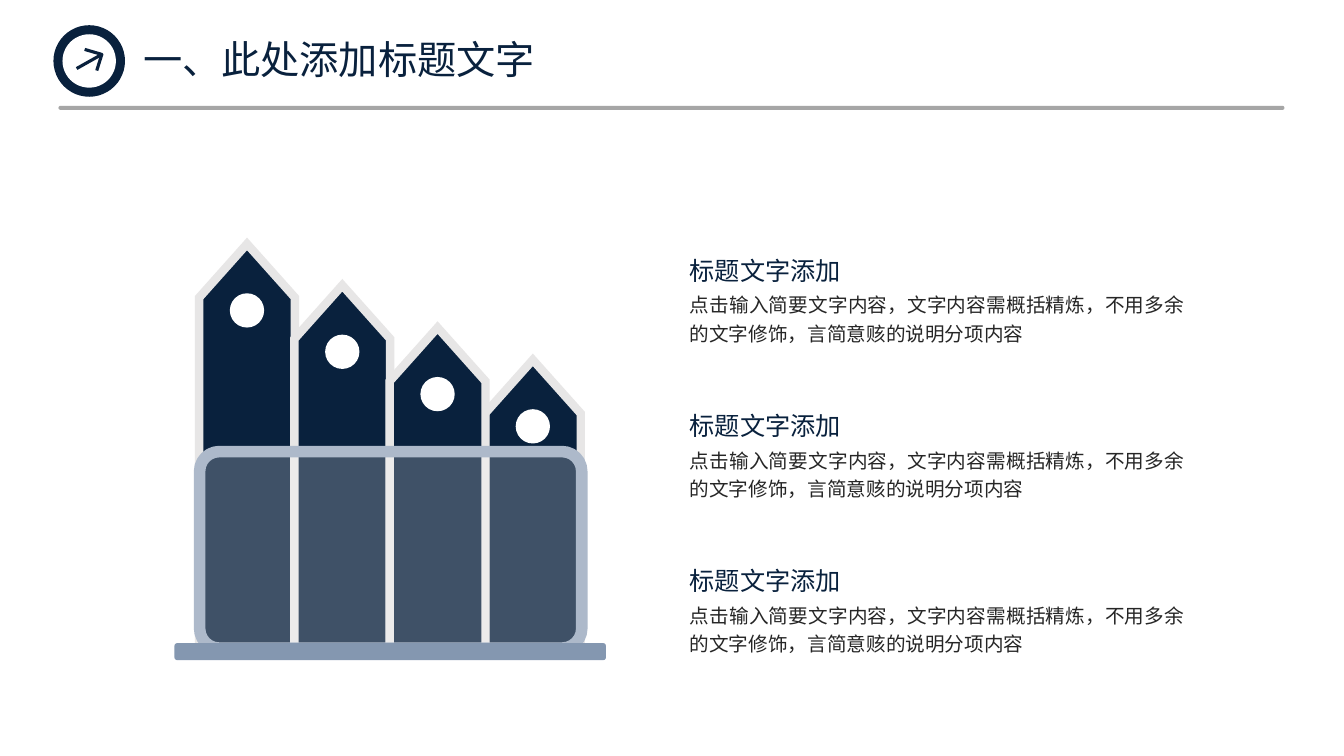
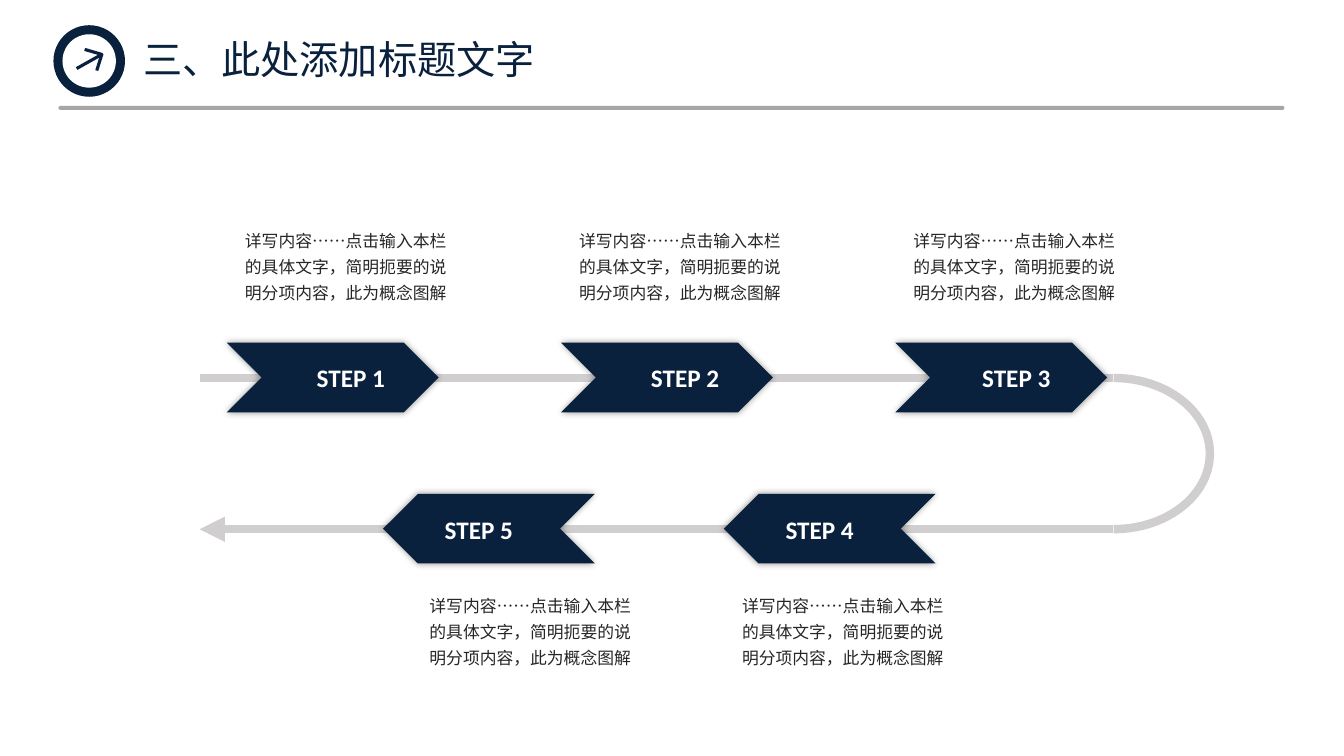
from dataclasses import dataclass

from lxml import etree
from pptx import Presentation
from pptx.dml.color import RGBColor as RGB
from pptx.enum.shapes import MSO_CONNECTOR as Conn, MSO_SHAPE as Kind
from pptx.enum.text import MSO_ANCHOR as Anchor, MSO_AUTO_SIZE as Fit, PP_ALIGN as Align
from pptx.oxml.ns import qn
from pptx.util import Inches, Pt

NAVY = RGB(0x09, 0x21, 0x3D)
WHITE = RGB(0xFF, 0xFF, 0xFF)
INK = RGB(0x26, 0x26, 0x26)
RULE = RGB(0xA6, 0xA6, 0xA6)
TRACK = RGB(0xD0, 0xCE, 0xCE)
EDGE = RGB(0xE7, 0xE6, 0xE6)
FRAME = RGB(0xAD, 0xB9, 0xCA)
BASE = RGB(0x84, 0x97, 0xB0)

HEAD = "Noto Sans CJK JP"
TEXT = "Noto Sans CJK SC"
STEP = "Calibri"

POINT = "标题文字添加"
DETAIL = "点击输入简要文字内容，文字内容需概括精炼，不用多余的文字修饰，言简意赅的说明分项内容"
NOTE = "详写内容……点击输入本栏的具体文字，简明扼要的说明分项内容，此为概念图解"


@dataclass
class Box:
    x: float
    y: float
    w: float
    h: float

    def emu(self) -> tuple:
        return tuple(Inches(v) for v in (self.x, self.y, self.w, self.h))


@dataclass
class Style:
    font: str
    size: int
    color: RGB
    bold: bool = False
    align: Align = Align.LEFT
    space: float = 1.0


@dataclass
class Step:
    name: str
    x: float      # left edge of the chevron
    y: float      # top edge of the chevron
    label: float  # left edge of the label
    note: Box
    back: bool = False


TITLE = Style(HEAD, 28, NAVY)
LEAD = Style(HEAD, 18, NAVY, align=Align.JUSTIFY, space=1.2)
BODY = Style(TEXT, 14, INK, align=Align.JUSTIFY, space=1.2)
SMALL = Style(TEXT, 12, INK, align=Align.CENTER, space=1.3)
LABEL = Style(STEP, 18, WHITE, bold=True, align=Align.CENTER)


def format_para(para, style: Style, before: float = 0) -> None:
    para.alignment = style.align
    para.line_spacing = style.space
    para.space_before = Pt(before)
    para.space_after = Pt(0)
    for run in para.runs:
        font = run.font
        font.size, font.bold, font.name = Pt(style.size), style.bold, style.font
        font.color.rgb = style.color
        east = etree.SubElement(run._r.get_or_add_rPr(), qn("a:ea"))
        east.set("typeface", style.font)


def place(shape, box: Box) -> None:
    shape.left, shape.top, shape.width, shape.height = box.emu()


def add_text(slide, box: Box, text: str, style: Style) -> None:
    frame = slide.shapes.add_textbox(*box.emu()).text_frame
    frame.word_wrap = True
    frame.text = text
    format_para(frame.paragraphs[0], style)


def paint(shape, fill: RGB | None, line: RGB | None, width: float) -> None:
    shape.shadow.inherit = False
    if fill is None:
        shape.fill.background()
    else:
        shape.fill.solid()
        shape.fill.fore_color.rgb = fill
    if line is None:
        shape.line.fill.background()
    else:
        shape.line.color.rgb = line
        shape.line.width = Pt(width)


def add_shape(slide, kind: Kind, box: Box, fill: RGB | None = None,
              line: RGB | None = None, width: float = 0, adj: tuple = ()):
    shape = slide.shapes.add_shape(kind, *box.emu())
    for i, value in enumerate(adj):
        shape.adjustments[i] = value
    paint(shape, fill, line, width)
    return shape


def add_line(slide, start: tuple, end: tuple, color: RGB, width: float,
             head: bool = False) -> None:
    ends = [Inches(v) for v in start + end]
    line = slide.shapes.add_connector(Conn.STRAIGHT, *ends)
    line.line.color.rgb = color
    line.line.width = Pt(width)
    props = line._element.spPr
    if head:
        etree.SubElement(props.find(qn("a:ln")), qn("a:headEnd"), type="triangle")
    etree.SubElement(props, qn("a:effectLst"))


def add_glow(shape) -> None:
    """Soft dark shadow on all sides."""
    effects = shape._element.spPr.find(qn("a:effectLst"))
    outer = etree.SubElement(effects, qn("a:outerShdw"), blurRad=str(Pt(5)),
                             dist="0", dir="0", algn="ctr", rotWithShape="0")
    color = etree.SubElement(outer, qn("a:srgbClr"), val="000000")
    etree.SubElement(color, qn("a:alpha"), val="40000")


def add_frame(deck, layout: int, title: str):
    """New slide with title, rule and arrow badge."""
    slide = deck.slides.add_slide(deck.slide_layouts[layout])
    head = slide.shapes.title
    place(head, Box(1.32, 0.29, 6, 0.59))
    frame = head.text_frame
    frame.text = title
    frame.auto_size, frame.vertical_anchor = Fit.NONE, Anchor.MIDDLE
    format_para(frame.paragraphs[0], TITLE)

    add_shape(slide, Kind.ROUNDED_RECTANGLE, Box(0.58, 1.05, 12.16, 0.04), RULE, adj=(0.5,))
    add_shape(slide, Kind.OVAL, Box(0.53, 0.25, 0.71, 0.71), NAVY)
    add_shape(slide, Kind.OVAL, Box(0.62, 0.34, 0.53, 0.53), WHITE)
    path = slide.shapes.build_freeform(Inches(0.84), Inches(0.49))
    path.add_line_segments([(Inches(1.01), Inches(0.54)), (Inches(0.96), Inches(0.7))],
                           close=False)
    paint(path.convert_to_shape(), None, NAVY, 2.25)
    add_line(slide, (0.76, 0.68), (1.01, 0.54), NAVY, 2.25)
    return slide


def add_pencil(slide, mid: float, size: float) -> None:
    """Upright bar with a sharp top, standing on the laptop base."""
    foot, wide, dot = 6.43, 0.95, 0.34
    box = Box(mid - size / 2, foot - size / 2 - wide / 2, size, wide)
    bar = add_shape(slide, Kind.PENTAGON, box, NAVY, EDGE, 6, (0.56,))
    bar.rotation = 270
    etree.SubElement(bar._element.spPr.find(qn("a:ln")), qn("a:miter"), lim="800000")
    top = foot - size + 0.66 - dot / 2
    add_shape(slide, Kind.OVAL, Box(mid - dot / 2, top, dot, dot), WHITE)


def draw_points(deck) -> None:
    slide = add_frame(deck, 1, "一、此处添加标题文字")

    # Laptop with four bars; the last one lies at the back
    bars = [(2.45 + 0.945 * i, size) for i, size in enumerate((4.01, 3.6, 3.18, 2.86))]
    for mid, size in bars[-1:] + bars[:-1]:
        add_pencil(slide, mid, size)
    screen = add_shape(slide, Kind.ROUNDED_RECTANGLE, Box(1.98, 4.48, 3.79, 1.95),
                       WHITE, FRAME, 8.25, (0.1,))
    color = screen._element.spPr.find(qn("a:solidFill")).find(qn("a:srgbClr"))
    etree.SubElement(color, qn("a:alpha"), val="22000")
    add_shape(slide, Kind.ROUNDED_RECTANGLE, Box(1.73, 6.38, 4.28, 0.17), BASE)

    # Three headed points
    body = slide.placeholders[1]
    place(body, Box(6.74, 2.42, 5.11, 4.2))
    frame = body.text_frame
    frame.text = "\n".join([POINT, DETAIL] * 3)
    frame.auto_size, frame.vertical_anchor = Fit.NONE, Anchor.TOP
    for i, para in enumerate(frame.paragraphs):
        props = para._p.get_or_add_pPr()
        props.set("marL", "0")
        props.set("indent", "0")
        etree.SubElement(props, qn("a:buNone"))
        if i % 2:
            format_para(para, BODY, 2.4)
        else:
            format_para(para, LEAD, 42.2 if i else 0)


def add_step(slide, step: Step) -> None:
    arrow = add_shape(slide, Kind.CHEVRON, Box(step.x, step.y, 2.1, 0.69), NAVY)
    if step.back:
        arrow._element.spPr.find(qn("a:xfrm")).set("flipH", "1")
    add_glow(arrow)
    add_text(slide, step.note, NOTE, SMALL)
    add_text(slide, Box(step.label, step.y + 0.15, 1.66, 0.4), step.name, LABEL)


def draw_steps(deck) -> None:
    slide = add_frame(deck, 5, "三、此处添加标题文字")

    # Track that turns back on the right
    left, right, upper, lower = 1.98, 11.04, 3.75, 5.25
    add_shape(slide, Kind.ARC, Box(10.09, upper, 1.91, lower - upper), None, TRACK, 6,
              (162, 54))
    add_line(slide, (left, lower), (right, lower), TRACK, 6, head=True)
    add_line(slide, (left, upper), (right, upper), TRACK, 6)

    # Three steps out, two steps back
    steps = []
    for i, shift in enumerate((0.4, 0.4, 0.37)):
        x = 2.25 + 3.315 * i
        steps.append(Step(f"STEP {i + 1}", x, 3.4, x + shift, Box(x, 2.18, 2.36, 0.89)))
    for name, x, note in (("STEP 4", 7.18, 7.18), ("STEP 5", 3.8, 4.08)):
        steps.append(Step(name, x, 4.9, x + 0.12, Box(note, 5.8, 2.36, 0.89), True))
    for step in steps:
        add_step(slide, step)


def main() -> None:
    deck = Presentation()
    deck.slide_width, deck.slide_height = Inches(13.33), Inches(7.5)
    draw_points(deck)
    draw_steps(deck)
    deck.save("out.pptx")


if __name__ == "__main__":
    main()
